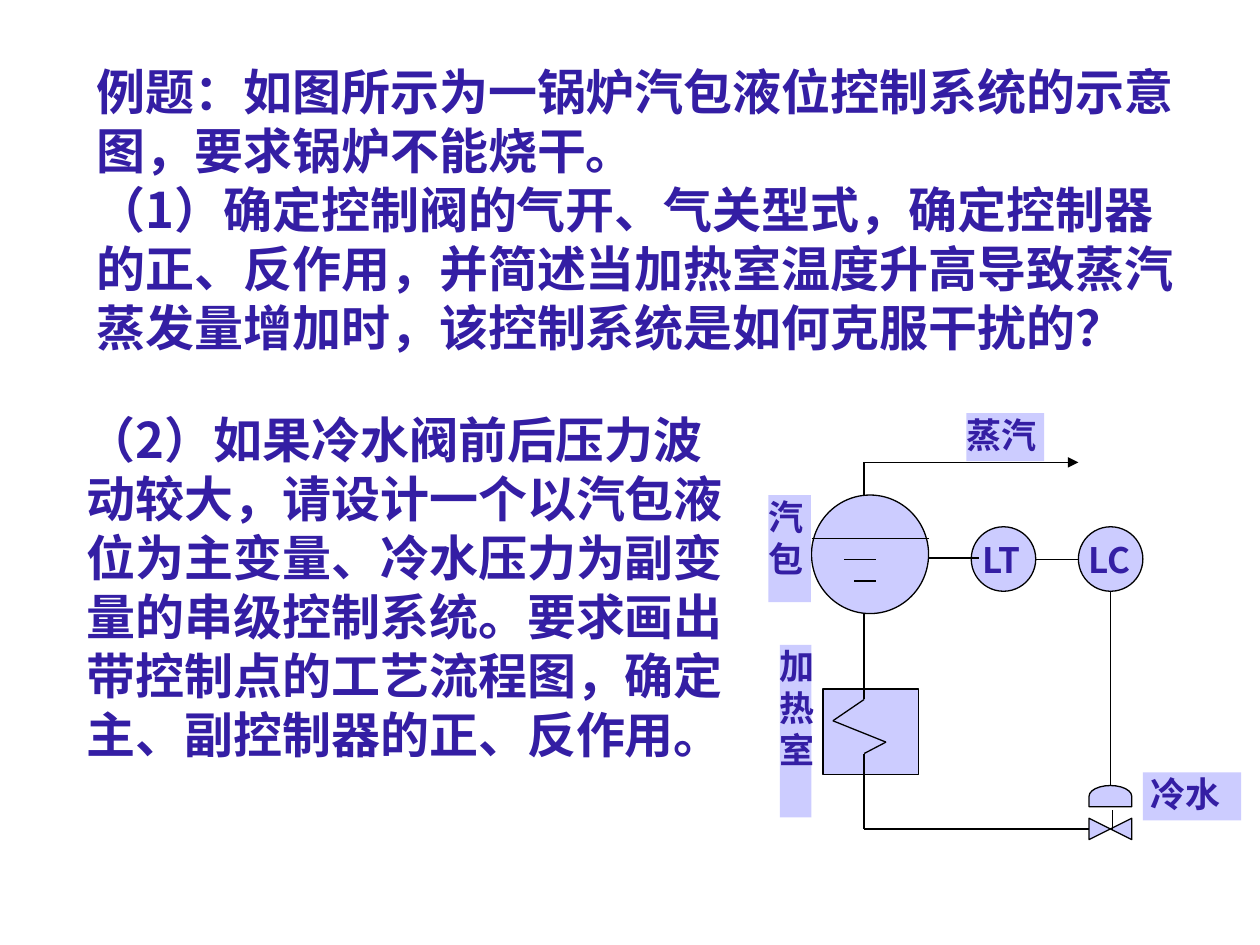
from itertools import pairwise

from lxml.etree import SubElement
from pptx import Presentation
from pptx.dml.color import RGBColor
from pptx.enum.shapes import MSO_CONNECTOR, MSO_SHAPE as Preset
from pptx.enum.text import PP_ALIGN as Align
from pptx.oxml.ns import qn
from pptx.util import Cm, Pt

COLORS = {name: RGBColor.from_string(value) for name, value in {
    "text": "341EA4", "equipment": "CCCCFF", "line": "000000", "paper": "FFFFFF",
}.items()}
CJK_FONT = "Noto Sans CJK SC"

presentation = Presentation()
presentation.slide_width, presentation.slide_height = Cm(25.4), Cm(19.05)
slide = presentation.slides.add_slide(presentation.slide_layouts[6])


def add_text(box, paragraphs, size, spacing, fill, align, font=CJK_FONT):
    box.fill.solid()
    box.fill.fore_color.rgb = COLORS[fill]
    frame = box.text_frame
    frame.word_wrap = True
    frame.text = "\n".join(paragraphs)
    for paragraph in frame.paragraphs:
        paragraph.alignment = align
        paragraph.line_spacing = Pt(spacing)
        paragraph.font.size = Pt(size)
        paragraph.font.bold = True
        paragraph.font.name = font
        paragraph.font.color.rgb = COLORS["text"]
        for run in paragraph.runs:
            properties = run._r.get_or_add_rPr()
            SubElement(properties, qn("a:ea"), typeface=CJK_FONT)
    return frame


def add_line(start, end):
    line = slide.shapes.add_connector(
        MSO_CONNECTOR.STRAIGHT, *(Cm(value) for value in (*start, *end)))
    line.line.color.rgb = COLORS["line"]
    line.line.width = Pt(0.75)
    SubElement(line._element.spPr, qn("a:effectLst"))
    return line


# Problem statement and the two questions
questions = [
    ((1.7, 1.12, 22.4, 6.2), [
        "例题：如图所示为一锅炉汽包液位控制系统的示意图，要求锅炉不能烧干。",
        "（1）确定控制阀的气开、气关型式，确定控制器的正、反作用，并简述当加热室"
        "温度升高导致蒸汽蒸发量增加时，该控制系统是如何克服干扰的？"]),
    ((1.5, 8.13, 13.59, 7.44), [
        "（2）如果冷水阀前后压力波动较大，请设计一个以汽包液位为主变量、冷水压力为"
        "副变量的串级控制系统。要求画出带控制点的工艺流程图，确定主、副控制器的"
        "正、反作用。"]),
]
for bounds, paragraphs in questions:
    box = slide.shapes.add_textbox(*(Cm(value) for value in bounds))
    add_text(box, paragraphs, 28, 33.7, "paper", Align.LEFT)

# Drum, transmitter, controller, heater, valve and its actuator
equipment = [
    (Preset.OVAL, 16.36, 9.98, 2.36, 2.39, 0),
    (Preset.OVAL, 19.58, 10.62, 1.3, 1.3, 0),
    (Preset.OVAL, 21.74, 10.62, 1.3, 1.3, 0),
    (Preset.RECTANGLE, 16.59, 13.89, 1.93, 1.73, 0),
    (Preset.FLOWCHART_COLLATE, 22.17, 16.28, 0.43, 0.86, 270),
    (Preset.FLOWCHART_DELAY, 22.17, 15.62, 0.43, 0.86, 270),
]
for preset, *bounds, rotation in equipment:
    shape = slide.shapes.add_shape(preset, *(Cm(value) for value in bounds))
    shape.rotation = rotation
    shape.shadow.inherit = False
    shape.fill.solid()
    shape.fill.fore_color.rgb = COLORS["equipment"]
    shape.line.color.rgb = COLORS["line"]
    shape.line.width = Pt(0.75)

# Labels
labels = [
    ("LT", 19.81, 10.85, 0.86, 0.86, CJK_FONT),
    ("LC", 21.95, 10.85, 0.86, 0.86, CJK_FONT),
    ("加热室", 15.72, 13.0, 0.64, 3.48, "Times New Roman"),
    ("汽包", 15.49, 9.98, 0.86, 2.16, "Times New Roman"),
    ("蒸汽", 19.48, 8.33, 1.57, 0.97, CJK_FONT),
    ("冷水", 23.04, 15.57, 1.98, 0.97, CJK_FONT),
]
for text, *bounds, font in labels:
    box = slide.shapes.add_textbox(*(Cm(value) for value in bounds))
    frame = add_text(box, [text], 20, 24, "equipment", Align.JUSTIFY, font)
    frame.margin_left = Cm(0.16 if text == "冷水" else 0)
    frame.margin_top = frame.margin_right = frame.margin_bottom = 0

# Pipes, heating coil, water level marks and signal lines
PIPE_X = 17.42
routes = [
    [(PIPE_X, 12.37), (PIPE_X, 14.1), (16.79, 14.53), (17.86, 14.96),
     (PIPE_X, 15.19), (PIPE_X, 16.71), (21.95, 16.71)],
    [(16.36, 10.85), (18.72, 10.85)],
    [(17.02, 11.28), (17.65, 11.28)],
    [(17.22, 11.71), (17.65, 11.71)],
    [(18.72, 11.25), (19.74, 11.25)],
    [(20.88, 11.28), (21.74, 11.28)],
    [(22.38, 11.94), (22.38, 15.85)],
    [(22.43, 16.33), (22.43, 16.74)],
    [(PIPE_X, 9.98), (PIPE_X, 9.32)],
]
for route in routes:
    for start, end in pairwise(route):
        add_line(start, end)

# Steam outlet
steam = add_line((PIPE_X, 9.32), (21.74, 9.32))
SubElement(steam.line._get_or_add_ln(), qn("a:tailEnd"), type="triangle")

presentation.save("out.pptx")
